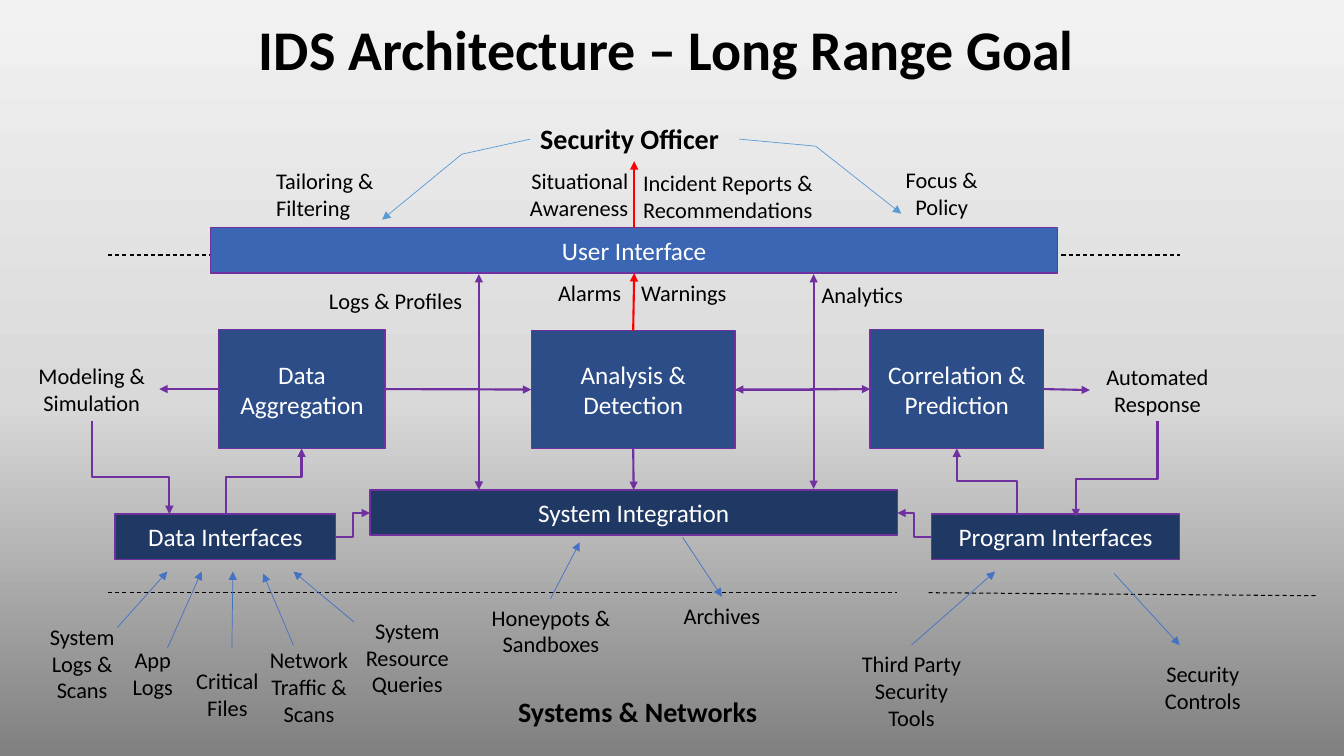
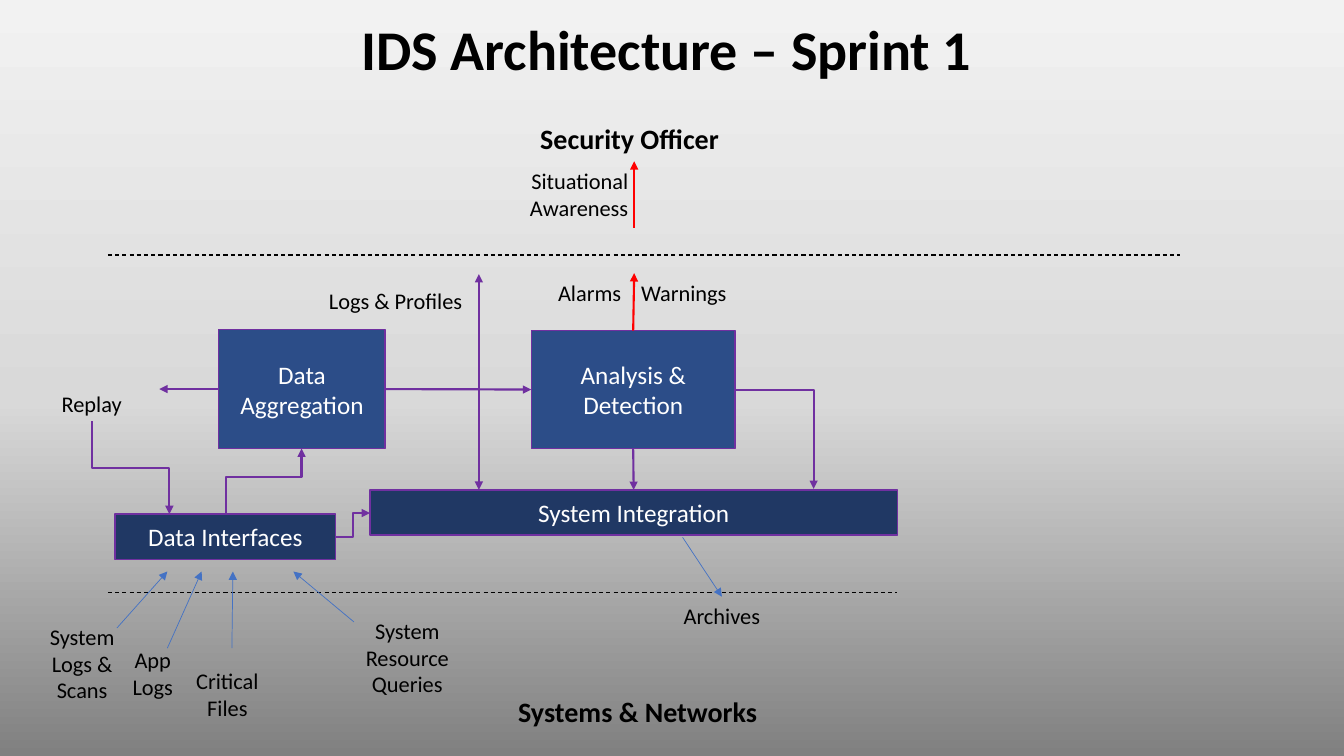
"""Build two intrusion detection architecture slides: the long range goal and the first sprint."""
import pptx
import pptx.dml.color
import pptx.enum.dml
import pptx.enum.shapes
import pptx.enum.text
import pptx.oxml.ns
import pptx.util
import copy
import lxml.etree

Inches = pptx.util.Inches
Pt = pptx.util.Pt
RGBColor = pptx.dml.color.RGBColor
qn = pptx.oxml.ns.qn
Align = pptx.enum.text.PP_ALIGN
LEFT, CENTER, RIGHT = Align.LEFT, Align.CENTER, Align.RIGHT

BLACK = RGBColor(0x00, 0x00, 0x00)
WHITE = RGBColor(0xFF, 0xFF, 0xFF)
NAVY = RGBColor(0x20, 0x38, 0x64)
BLUE = RGBColor(0x2C, 0x4D, 0x88)
BRIGHT_BLUE = RGBColor(0x3A, 0x66, 0xB4)
PURPLE = RGBColor(0x70, 0x30, 0xA0)
RED = RGBColor(0xFF, 0x00, 0x00)
FEED_BLUE = RGBColor(0x44, 0x72, 0xC4)
POLICY_BLUE = RGBColor(0x5B, 0x9B, 0xD5)
BACKGROUND_STOPS = [
    (0, RGBColor(0xF2, 0xF2, 0xF2)),
    (0.53, RGBColor(0xD9, 0xD9, 0xD9)),
    (1, RGBColor(0x80, 0x80, 0x80)),
]
LINE_WIDTHS = {BLACK: 0.75, PURPLE: 1.5, RED: 1.5, FEED_BLUE: 0.5, POLICY_BLUE: 0.5}
FONT = "Calibri"
TITLE_BOX = (1.43, 0.01, 10.36, 1.02)
JOIN_DISTANCE = Inches(0.02)

SHARED_BOUNDARIES = [
    ((1.07, 5.88), (8.9, 5.88)),
    ((1.07, 2.53), (11.7, 2.53)),
]
SHARED_BOXES = [
    ("System Integration", (3.67, 4.86, 5.23, 0.45), NAVY),
    ("Data Interfaces", (1.14, 5.1, 2.19, 0.45), NAVY),
    ("Analysis & Detection", (5.27, 3.28, 2.02, 1.17), BLUE),
    ("Data Aggregation", (2.17, 3.27, 1.65, 1.18), BLUE),
]
SHARED_ARROWS = [
    (FEED_BLUE, (1.16, 6.23), (1.66, 5.67)),
    (FEED_BLUE, (1.66, 6.43), (2, 5.67)),
    (FEED_BLUE, (2.3, 6.43), (2.31, 5.67)),
    (FEED_BLUE, (3.51, 6.17), (2.91, 5.67)),
    (FEED_BLUE, (6.77, 5.33), (7.16, 5.92)),
    (PURPLE, (4.75, 3.87), (4.75, 2.72)),
    (PURPLE, (3.81, 3.86), (5.27, 3.87)),
    (PURPLE, (6.28, 4.45), (6.28, 4.86)),
    (PURPLE, (2.17, 3.86), (1.58, 3.86)),
    (RED, (6.28, 3.28), (6.29, 2.71)),
    (RED, (6.29, 2.26), (6.29, 1.6)),
]
SHARED_ELBOWS = [
    ("corner", (3.81, 3.86), (4.75, 4.86), None),
    ("corner", (7.29, 3.87), (8.07, 4.85), None),
    ("vertical", (2.24, 5.1), (2.99, 4.45), 0.56),
    ("horizontal", (3.33, 5.33), (3.67, 5.09), 0.5),
]
SHARED_LABELS = [
    ("App\nLogs", (1.03, 6.36, 0.97, 0.64), CENTER),
    ("System Logs & Scans", (0.33, 6.13, 0.97, 0.91), CENTER),
    ("Critical Files", (1.77, 6.57, 0.97, 0.64), CENTER),
    ("System Resource Queries", (3.44, 6.07, 1.2, 0.91), CENTER),
    ("Alarms", (5.26, 2.72, 1, 0.37), RIGHT),
    ("Warnings", (6.26, 2.72, 1.08, 0.37), LEFT),
    ("Logs & Profiles", (3.01, 2.8, 1.83, 0.37), CENTER),
    ("Situational Awareness", (4.4, 1.61, 1.93, 0.64), RIGHT),
    ("Archives", (6.56, 5.92, 1.2, 0.37), CENTER),
]
HEADINGS = [
    ("Systems & Networks", (5.04, 6.84, 3.97, 0.44)),
    ("Security Officer", (5.26, 1.16, 2.07, 0.44)),
]

SLIDES = [
    {
        "title": "IDS Architecture – Long Range Goal",
        "boundaries": [((9.21, 5.88), (13.05, 5.91))],
        "boxes": [
            ("Correlation & Prediction", (8.63, 3.27, 1.72, 1.18), BLUE),
            ("User Interface", (2.09, 2.26, 8.4, 0.45), BRIGHT_BLUE),
            ("Program Interfaces", (9.24, 5.1, 2.46, 0.45), NAVY),
        ],
        "arrows": [
            (FEED_BLUE, (2.91, 6.4), (2.61, 5.69)),
            (FEED_BLUE, (9.04, 6.4), (9.87, 5.67)),
            (FEED_BLUE, (11.05, 5.69), (11.7, 6.4)),
            (FEED_BLUE, (5.46, 5.94), (5.75, 5.38)),
            (POLICY_BLUE, (8.09, 1.45), (8.94, 2.12)),
            (POLICY_BLUE, (4.58, 1.53), (3.79, 2.18)),
            (PURPLE, (8.07, 3.87), (8.07, 2.72)),
            (PURPLE, (10.35, 3.86), (10.81, 3.87)),
        ],
        "two_way": [((7.29, 3.87), (8.63, 3.86))],
        "plain": [((7.33, 1.38), (8.09, 1.45)), ((5.26, 1.38), (4.58, 1.53))],
        "elbows": [
            ("vertical", (10.09, 5.09), (9.49, 4.45), 0.5),
            ("vertical", (11.48, 4.18), (10.67, 5.13), 0.6),
            ("vertical", (0.91, 4.18), (1.68, 5.1), 0.6),
            ("horizontal", (9.24, 5.33), (8.9, 5.09), 0.5),
        ],
        "labels": [
            ("Network Traffic & Scans", (2.56, 6.36, 1.01, 0.91), CENTER),
            ("Third Party\nSecurity Tools", (8.44, 6.4, 1.2, 0.91), CENTER),
            ("Incident Reports & Recommendations", (6.28, 1.63, 1.91, 0.64), LEFT),
            ("Automated Response", (10.81, 3.55, 1.34, 0.64), CENTER),
            ("Focus & Policy", (8.74, 1.6, 1.2, 0.64), CENTER),
            ("Tailoring & Filtering", (2.64, 1.61, 1.93, 0.64), LEFT),
            ("Analytics", (8.05, 2.74, 1.83, 0.37), LEFT),
            ("Security Controls", (11.33, 6.5, 1.2, 0.64), CENTER),
            ("Modeling & Simulation", (0.24, 3.54, 1.34, 0.64), CENTER),
            ("Honeypots & Sandboxes", (4.71, 5.94, 1.51, 0.64), CENTER),
        ],
    },
    {
        "title": "IDS Architecture – Sprint 1",
        "boundaries": [],
        "boxes": [],
        "arrows": [],
        "two_way": [],
        "plain": [],
        "elbows": [("vertical", (0.91, 4.18), (1.68, 5.1), 0.5)],
        "labels": [("Replay", (0.24, 3.82, 1.34, 0.37), CENTER)],
    },
]


def write_text(shape, text, size, color=BLACK, align=CENTER, bold=False):
    """Write one paragraph for each line of text and return the text frame."""
    frame = shape.text_frame
    frame.word_wrap = True
    for index, line in enumerate(text.split("\n")):
        paragraph = frame.add_paragraph() if index else frame.paragraphs[0]
        paragraph.alignment = align
        run = paragraph.add_run()
        run.text = line
        run.font.name = FONT
        run.font.size = Pt(size)
        run.font.bold = bold
        run.font.color.rgb = color
    return frame


def draw_line(slide, color, start, end, ends=("tailEnd",), kind="STRAIGHT"):
    """Draw a connector with arrowheads at the named ends and return it."""
    points = [Inches(value) for value in (*start, *end)]
    connector = slide.shapes.add_connector(
        getattr(pptx.enum.shapes.MSO_CONNECTOR, kind), *points)
    connector.line.color.rgb = color
    connector.line.width = Pt(LINE_WIDTHS[color])
    properties = connector.element.spPr
    for name in ends:
        lxml.etree.SubElement(properties.find(qn("a:ln")), qn("a:" + name), type="triangle")
    lxml.etree.SubElement(properties, qn("a:effectLst"))
    return connector


presentation = pptx.Presentation()
presentation.slide_width = Inches(13.33)
presentation.slide_height = Inches(7.5)

master = presentation.slide_master
background = master.background.fill
background.gradient()
background.gradient_angle = 270
stop_list = next(master.element.iter(qn("a:gsLst")))
stop_list.append(copy.deepcopy(stop_list[-1]))
for stop, (position, color) in zip(background.gradient_stops, BACKGROUND_STOPS):
    stop.position = position
    stop.color.rgb = color

for content in SLIDES:
    slide = presentation.slides.add_slide(presentation.slide_layouts[6])

    title = slide.shapes.add_textbox(*map(Inches, TITLE_BOX))
    frame = write_text(title, content["title"], 40, bold=True)
    frame.vertical_anchor = pptx.enum.text.MSO_ANCHOR.MIDDLE
    frame.paragraphs[0].line_spacing = 0.9

    for start, end in SHARED_BOUNDARIES + content["boundaries"]:
        boundary = draw_line(slide, BLACK, start, end, ends=())
        boundary.line.dash_style = pptx.enum.dml.MSO_LINE.DASH

    sides = []
    for text, bounds, color in SHARED_BOXES + content["boxes"]:
        box = slide.shapes.add_shape(
            pptx.enum.shapes.MSO_SHAPE.RECTANGLE, *map(Inches, bounds))
        box.shadow.inherit = False
        box.fill.solid()
        box.fill.fore_color.rgb = color
        box.line.color.rgb = PURPLE
        box.line.width = Pt(1)
        frame = write_text(box, text, 18, WHITE)
        frame.vertical_anchor = pptx.enum.text.MSO_ANCHOR.MIDDLE
        middle_x, middle_y = box.left + box.width // 2, box.top + box.height // 2
        sides += [
            (box, 0, middle_x, box.top),
            (box, 1, box.left, middle_y),
            (box, 2, middle_x, box.top + box.height),
            (box, 3, box.left + box.width, middle_y),
        ]

    straight = [(*arrow, ("tailEnd",)) for arrow in SHARED_ARROWS + content["arrows"]]
    straight += [(PURPLE, *ends, ("headEnd", "tailEnd")) for ends in content["two_way"]]
    straight += [(POLICY_BLUE, *ends, ()) for ends in content["plain"]]
    for color, start, end, heads in straight:
        connector = draw_line(slide, color, start, end, heads)
        for box, site, x, y in sides:
            for point, join in ((start, connector.begin_connect), (end, connector.end_connect)):
                gap = max(abs(Inches(point[0]) - x), abs(Inches(point[1]) - y))
                if gap <= JOIN_DISTANCE:
                    join(box, site)

    for route, start, end, bend in SHARED_ELBOWS + content["elbows"]:
        elbow = draw_line(slide, PURPLE, start, end, kind="ELBOW")
        geometry = elbow.element.spPr.find(qn("a:prstGeom"))
        if route == "corner":
            geometry.set("prst", "bentConnector2")
            continue
        adjustments = geometry.find(qn("a:avLst"))
        lxml.etree.SubElement(
            adjustments, qn("a:gd"), name="adj1", fmla=f"val {round(bend * 100000)}")
        if route == "vertical":
            across, down = end[0] - start[0], end[1] - start[1]
            elbow.left = Inches((start[0] + end[0] - abs(down)) / 2)
            elbow.top = Inches((start[1] + end[1] - abs(across)) / 2)
            elbow.width, elbow.height = Inches(abs(down)), Inches(abs(across))
            quarter_turn = across * down < 0
            transform = elbow.element.spPr.find(qn("a:xfrm"))
            transform.set("rot", str((90 if quarter_turn else 270) * 60000))
            transform.set("flipH", str(int((down < 0) == quarter_turn)))
            transform.set("flipV", str(int(down < 0)))

    for text, bounds, align in SHARED_LABELS + content["labels"]:
        label = slide.shapes.add_textbox(*map(Inches, bounds))
        write_text(label, text, 16, align=align)

    for text, bounds in HEADINGS:
        heading = slide.shapes.add_textbox(*map(Inches, bounds))
        write_text(heading, text, 20, align=LEFT, bold=True)

presentation.save("out.pptx")
